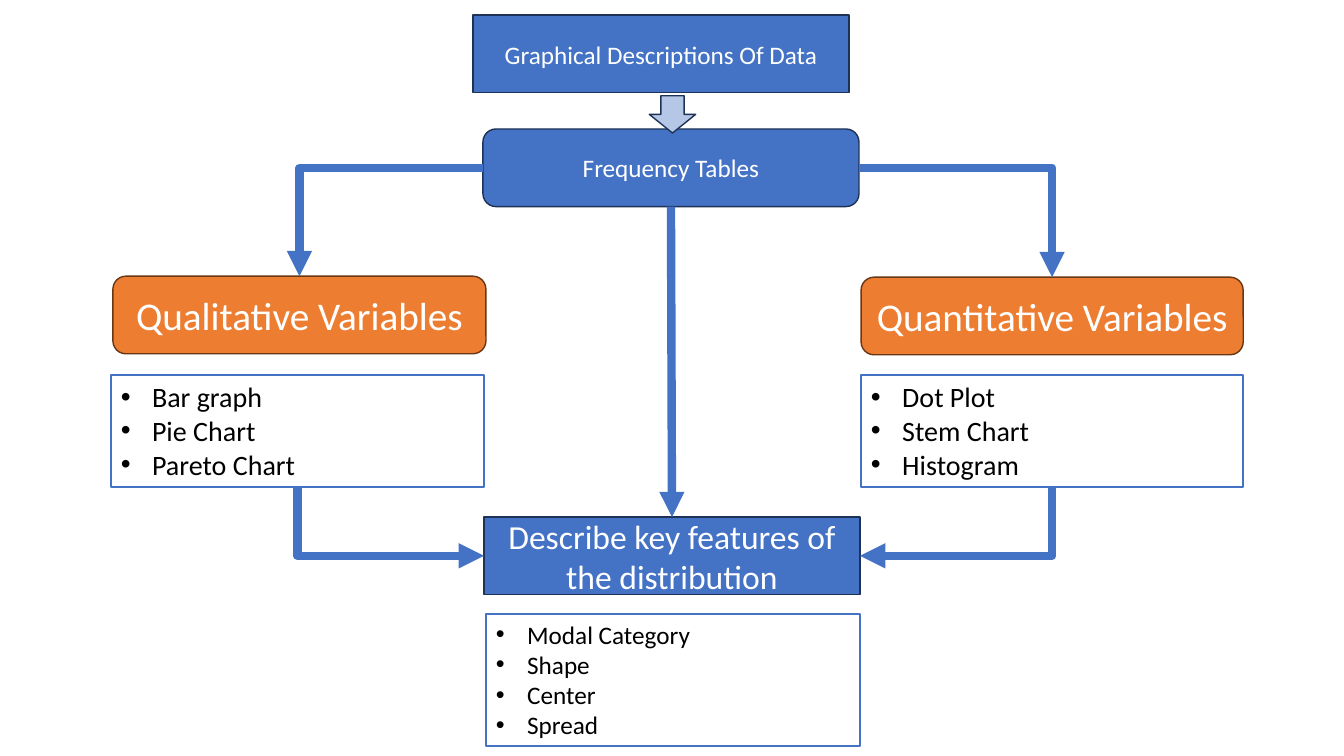
"""Build a flowchart slide on graphical descriptions of data."""
import pptx
import pptx.dml.color
import pptx.enum.shapes
import pptx.enum.text
import pptx.oxml
import pptx.oxml.ns
import pptx.util
from dataclasses import dataclass

Inches, Pt = pptx.util.Inches, pptx.util.Pt
Shapes = pptx.enum.shapes.MSO_SHAPE
Align, Anchor = pptx.enum.text.PP_ALIGN, pptx.enum.text.MSO_ANCHOR
TOP, LEFT, BOTTOM, RIGHT = range(4)


@dataclass(frozen=True)
class Theme:
    font: str = "Calibri"
    blue: str = "4472C4"
    blue_edge: str = "1E3256"
    orange: str = "ED7D31"
    orange_edge: str = "683715"
    pale_blue: str = "B4C7E7"
    white: str = "FFFFFF"
    black: str = "000000"
    small: int = 18
    medium: int = 20
    large: int = 24
    heading: int = 28
    edge: int = 1
    flow: int = 6


THEME = Theme()
BLUE = (THEME.blue, THEME.blue_edge)
ORANGE = (THEME.orange, THEME.orange_edge)

COLUMNS = {
    "title": (4.69, 3.73),
    "qualitative": (1.12, 3.7),
    "charts": (1.1, 3.7),
    "frequency": (4.79, 3.73),
    "features": (4.8, 3.73),
    "feature list": (4.82, 3.71),
    "quantitative": (8.54, 3.79),
    "arrow": (6.44, 0.46),
}
BOX_HEIGHT = 0.77
ROWS = {
    "title": (0.15, BOX_HEIGHT),
    "arrow": (0.95, 0.37),
    "frequency": (1.28, BOX_HEIGHT),
    "qualitative": (2.74, BOX_HEIGHT),
    "quantitative": (2.75, BOX_HEIGHT),
    "lists": (3.72, 1.11),
    "features": (5.13, BOX_HEIGHT),
    "feature list": (6.09, 1.31),
}

TITLE = "Graphical Descriptions Of Data"
STEPS = {
    "frequency": ("Frequency Tables", Shapes.ROUNDED_RECTANGLE, BLUE, THEME.small),
    "qualitative": ("Qualitative Variables", Shapes.ROUNDED_RECTANGLE, ORANGE, THEME.heading),
    "quantitative": ("Quantitative Variables", Shapes.ROUNDED_RECTANGLE, ORANGE, THEME.heading),
    "features": ("Describe key features of the distribution", Shapes.RECTANGLE, BLUE, THEME.large),
}
LISTS = {
    "qualitative list": ("charts", "lists", THEME.medium,
                         ["Bar graph", "Pie Chart", "Pareto Chart"]),
    "quantitative list": ("quantitative", "lists", THEME.medium,
                          ["Dot Plot", "Stem Chart", "Histogram"]),
    "feature list": ("feature list", "feature list", THEME.small,
                     ["Modal Category", "Shape", "Center", "Spread"]),
}
BENDS = [
    ("frequency", LEFT, "qualitative", TOP, "tailEnd"),
    ("frequency", RIGHT, "quantitative", TOP, "tailEnd"),
    ("features", LEFT, "qualitative list", BOTTOM, "headEnd"),
    ("features", RIGHT, "quantitative list", BOTTOM, "headEnd"),
]


def color(code):
    return pptx.dml.color.RGBColor.from_string(code)


def cell(column, row):
    (left, width), (top, height) = COLUMNS[column], ROWS[row]
    return [Inches(length) for length in (left, top, width, height)]


def paint(part, fill, edge):
    part.fill.solid()
    part.fill.fore_color.rgb = color(fill)
    part.line.color.rgb = color(edge)
    part.line.width = Pt(THEME.edge)


def style(paragraph, size, ink, align):
    paragraph.alignment = align
    paragraph.font.name = THEME.font
    paragraph.font.size = Pt(size)
    paragraph.font.color.rgb = color(ink)


def label(part, text, size):
    frame = part.text_frame
    frame.text = text
    frame.word_wrap = True
    frame.auto_size = pptx.enum.text.MSO_AUTO_SIZE.NONE
    frame.vertical_anchor = Anchor.MIDDLE
    style(frame.paragraphs[0], size, THEME.white, Align.CENTER)


def add_step(slide, name):
    text, outline, colors, size = STEPS[name]
    step = slide.shapes.add_shape(outline, *cell(name, name))
    step.shadow.inherit = False
    paint(step, *colors)
    label(step, text, size)
    return step


def add_list(slide, column, row, size, items):
    panel = slide.shapes.add_textbox(*cell(column, row))
    paint(panel, THEME.white, THEME.blue)
    frame = panel.text_frame
    frame.word_wrap = True
    frame.auto_size = pptx.enum.text.MSO_AUTO_SIZE.SHAPE_TO_FIT_TEXT
    frame.text = "\n".join(items)
    for paragraph in frame.paragraphs:
        properties = paragraph._p.get_or_add_pPr()
        properties.set("marL", str(Inches(0.31)))
        properties.set("indent", str(-Inches(0.31)))
        bullet_font = pptx.oxml.ns.qn("a:buFont")
        properties.makeelement(bullet_font)
        properties.append(properties.makeelement(bullet_font, {"typeface": "Arial"}))
        properties.append(properties.makeelement(pptx.oxml.ns.qn("a:buChar"), {"char": "•"}))
        style(paragraph, size, THEME.black, Align.LEFT)
    return panel


def add_flow(slide, kind, start, start_side, end, end_side, arrow_end):
    flow = slide.shapes.add_connector(kind, 0, 0, 0, 0)
    flow.begin_connect(start, start_side)
    flow.end_connect(end, end_side)
    flow.line.color.rgb = color(THEME.blue)
    flow.line.width = Pt(THEME.flow)
    line = flow.line._get_or_add_ln()
    line.append(line.makeelement(pptx.oxml.ns.qn(f"a:{arrow_end}"), {"type": "triangle"}))
    properties = flow._element.spPr
    properties.append(properties.makeelement(pptx.oxml.ns.qn("a:effectLst")))
    if kind == pptx.enum.shapes.MSO_CONNECTOR.ELBOW:
        properties.find(pptx.oxml.ns.qn("a:prstGeom")).set("prst", "bentConnector2")


def main():
    deck = pptx.Presentation()
    deck.slide_width, deck.slide_height = Inches(13.33), Inches(7.5)
    slide = deck.slides.add_slide(deck.slide_layouts[5])

    title = slide.shapes.title
    title.left, title.top, title.width, title.height = cell("title", "title")
    paint(title, *BLUE)
    label(title, TITLE, THEME.small)

    parts = {name: add_step(slide, name) for name in STEPS}
    parts.update({name: add_list(slide, *content) for name, content in LISTS.items()})

    connectors = pptx.enum.shapes.MSO_CONNECTOR
    for start, start_side, end, end_side, arrow_end in BENDS:
        add_flow(slide, connectors.ELBOW, parts[start], start_side,
                 parts[end], end_side, arrow_end)
    add_flow(slide, connectors.STRAIGHT, parts["frequency"], BOTTOM,
             parts["features"], TOP, "tailEnd")

    arrow = slide.shapes.add_shape(Shapes.DOWN_ARROW, *cell("arrow", "arrow"))
    arrow.shadow.inherit = False
    paint(arrow, THEME.pale_blue, THEME.blue_edge)
    deck.save("out.pptx")


if __name__ == "__main__":
    main()
